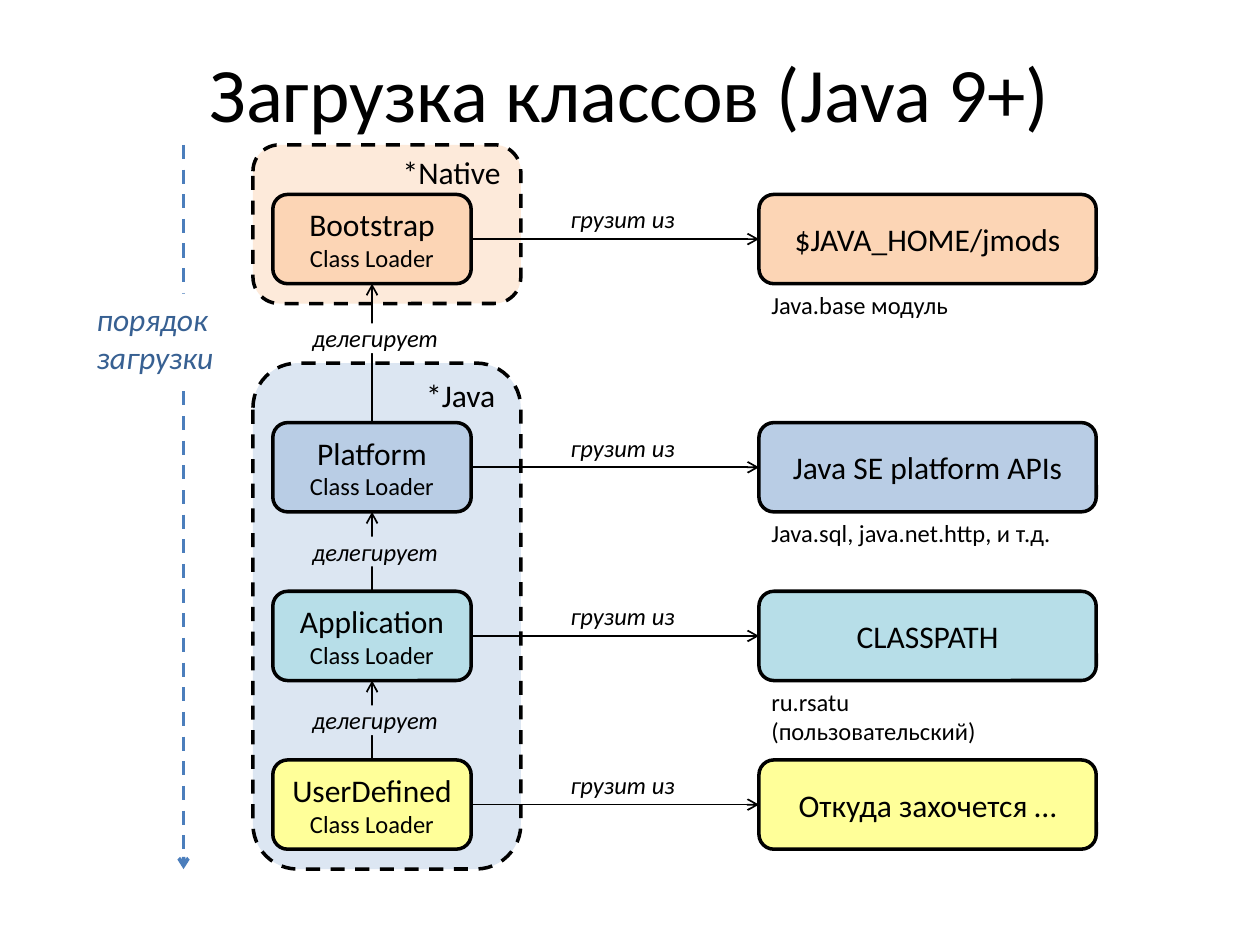
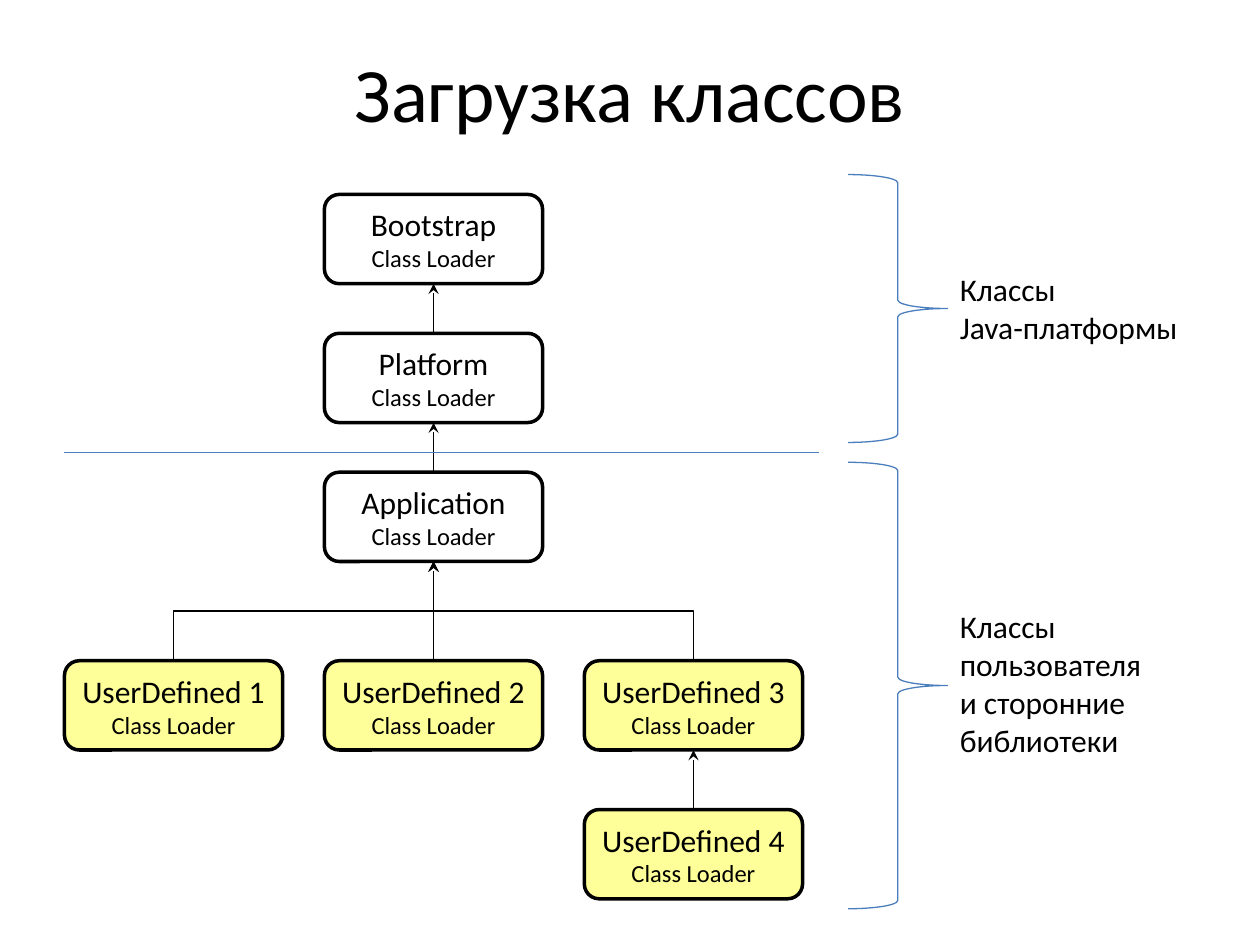
import dataclasses
import typing

import lxml.etree
import pptx
import pptx.dml.color
import pptx.enum.dml
import pptx.enum.shapes
import pptx.enum.text
import pptx.oxml.ns
import pptx.util

SHAPE = pptx.enum.shapes.MSO_SHAPE
CONNECTOR = pptx.enum.shapes.MSO_CONNECTOR
ALIGN = pptx.enum.text.PP_ALIGN
ANCHOR = pptx.enum.text.MSO_ANCHOR
GROW = pptx.enum.text.MSO_AUTO_SIZE.SHAPE_TO_FIT_TEXT
DASH = pptx.enum.dml.MSO_LINE.DASH
qn = pptx.oxml.ns.qn

# Grid: square cells counted from the top left corner of the diagrams
CELL = pptx.util.Mm(2)
GRID_LEFT = pptx.util.Mm(13)
GRID_TOP = pptx.util.Mm(29.2)
BOX_ROWS = 9

FONT = "Calibri"
BLACK, WHITE, BLUE, DARK_BLUE = "000000", "FFFFFF", "4B7EBC", "376092"
PEACH, PALE_PEACH = "FCD5B5", "FDEADA"
SKY, PALE_SKY = "B9CDE5", "DCE6F2"
AQUA, YELLOW = "B7DEE8", "FFFF99"

TOP, LEFT, BOTTOM, RIGHT = range(4)
TIGHT = {"margin_left": 0, "margin_top": 0, "margin_right": 0, "margin_bottom": 0}
GROWING = {"word_wrap": False, "auto_size": GROW}


class Area(typing.NamedTuple):
    col: float
    row: float
    cols: float
    rows: float


@dataclasses.dataclass
class Stroke:
    color: str = BLACK
    width: float = 1
    dashed: bool = False
    tail: str = ""


@dataclasses.dataclass
class Loader:
    name: str
    col: float
    row: float
    fill: str = WHITE
    source: str = ""
    note: str = ""


OUTLINE = Stroke(width=2)
DASHED_OUTLINE = Stroke(width=2, dashed=True)
THIN_BLUE = Stroke(BLUE, 0.75)
OPEN_ARROW = Stroke(tail="arrow")
STEALTH_ARROW = Stroke(tail="stealth")
ORDER_ARROW = Stroke(BLUE, 2, True, "arrow")


def rgb(color: str):
    return pptx.dml.color.RGBColor.from_string(color)


def col(n: float) -> int:
    return int(GRID_LEFT + n * CELL)


def row(n: float) -> int:
    return int(GRID_TOP + n * CELL)


def place(area: Area) -> tuple:
    return col(area.col), row(area.row), int(area.cols * CELL), int(area.rows * CELL)


def set_format(target, values: dict) -> None:
    for name, value in values.items():
        setattr(target, name, value)


def set_stroke(line, stroke: Stroke) -> None:
    line.color.rgb = rgb(stroke.color)
    line.width = pptx.util.Pt(stroke.width)
    if stroke.dashed:
        line.dash_style = DASH


def set_fill(sp, color: str) -> None:
    sp.fill.solid()
    sp.fill.fore_color.rgb = rgb(color)


def write(sp, lines: list, sizes: tuple = (18,), align=ALIGN.LEFT, color: str = BLACK,
          italic: bool = False, **frame) -> None:
    """One paragraph per line; the last size serves all lines that follow."""
    tf = sp.text_frame
    set_format(tf, frame)
    for i, text in enumerate(lines):
        p = tf.add_paragraph() if i else tf.paragraphs[0]
        p.alignment = align
        r = p.add_run()
        r.text = text
        size = pptx.util.Pt(sizes[min(i, len(sizes) - 1)])
        set_format(r.font, {"name": FONT, "size": size, "italic": italic})
        r.font.color.rgb = rgb(color)


def add_outline(s, kind, area: Area, stroke: Stroke, fill: str = ""):
    sp = s.shapes.add_shape(kind, *place(area))
    sp.shadow.inherit = False
    if fill:
        set_fill(sp, fill)
    else:
        sp.fill.background()
    set_stroke(sp.line, stroke)
    return sp


def add_box(s, area: Area, lines: list, fill: str):
    sp = add_outline(s, SHAPE.ROUNDED_RECTANGLE, area, OUTLINE, fill)
    write(sp, lines, (18, 14), ALIGN.CENTER, vertical_anchor=ANCHOR.MIDDLE)
    return sp


def add_loader(s, loader: Loader, cols: float):
    area = Area(loader.col, loader.row, cols, BOX_ROWS)
    return add_box(s, area, [loader.name, "Class Loader"], loader.fill)


def add_pane(s, area: Area, text: str, fill: str) -> None:
    sp = add_outline(s, SHAPE.ROUNDED_RECTANGLE, area, DASHED_OUTLINE, fill)
    write(sp, [text], align=ALIGN.RIGHT, vertical_anchor=ANCHOR.TOP, margin_top=0)


def add_label(s, area: Area, lines: list, fill: str = "", **style) -> None:
    sp = s.shapes.add_textbox(*place(area))
    if fill:
        set_fill(sp, fill)
    write(sp, lines, **style)


def add_line(s, stroke: Stroke, ends: tuple = (0, 0, 0, 0), kind=CONNECTOR.STRAIGHT):
    cxn = s.shapes.add_connector(kind, *ends)
    set_stroke(cxn.line, stroke)
    spPr = cxn._element.spPr
    lxml.etree.SubElement(spPr, qn("a:effectLst"))
    if stroke.tail:
        lxml.etree.SubElement(spPr.find(qn("a:ln")), qn("a:tailEnd"), type=stroke.tail)
    return cxn


def join(s, start, start_side: int, end, end_side: int, stroke: Stroke,
         kind=CONNECTOR.STRAIGHT):
    cxn = add_line(s, stroke, kind=kind)
    cxn.begin_connect(start, start_side)
    cxn.end_connect(end, end_side)
    return cxn


def join_elbow(s, lower, upper, stroke: Stroke) -> None:
    """Up, across and up again: an elbow turned by a quarter."""
    cxn = join(s, lower, TOP, upper, BOTTOM, stroke, CONNECTOR.ELBOW)
    x1, y1, x2, y2 = cxn.begin_x, cxn.begin_y, cxn.end_x, cxn.end_y
    rise, run = abs(y1 - y2), abs(x1 - x2)
    set_format(cxn, {"left": (x1 + x2 - rise) // 2, "top": (y1 + y2 - run) // 2,
                     "width": rise, "height": run})
    from_left = x1 < x2
    turn = {"rot": "5400000" if from_left else "16200000",
            "flipH": "1" if from_left else "0", "flipV": "1"}
    for name, value in turn.items():
        cxn._element.spPr.find(qn("a:xfrm")).set(name, value)


def add_titled_slide(prs, title: str):
    s = prs.slides.add_slide(prs.slide_layouts[5])
    w, h = prs.slide_width, prs.slide_height
    set_format(s.shapes.title, {"left": int(w * 0.05), "top": int(h * 0.04),
                                "width": int(w * 0.9), "height": GRID_TOP - int(h * 0.04)})
    write(s.shapes.title, [title], (44,), ALIGN.CENTER, vertical_anchor=ANCHOR.MIDDLE)
    return s


def build_delegation(prs) -> None:
    s = add_titled_slide(prs, "Загрузка классов (Java 9+)")
    add_pane(s, Area(19, 0, 27, 16), "*Native", PALE_PEACH)
    add_pane(s, Area(19, 22, 27, 51), "*Java", PALE_SKY)

    loaders = [
        Loader("Bootstrap", 21, 5, PEACH, "$JAVA_HOME/jmods", "Java.base модуль"),
        Loader("Platform", 21, 28, SKY, "Java SE platform APIs",
               "Java.sql, java.net.http, и т.д."),
        Loader("Application", 21, 45, AQUA, "CLASSPATH", "ru.rsatu (пользовательский)"),
        Loader("UserDefined", 21, 62, YELLOW, "Откуда захочется …"),
    ]
    link_style = {"sizes": (14,), "italic": True, **TIGHT, **GROWING}
    boxes = []
    for loader in loaders:
        box = add_loader(s, loader, 20)
        source = add_box(s, Area(70, loader.row, 34, BOX_ROWS), [loader.source], loader.fill)
        join(s, box, RIGHT, source, LEFT, OPEN_ARROW)
        add_label(s, Area(51, loader.row + 1, 10.7, 3), ["грузит из"], **link_style)
        if loader.note:
            add_label(s, Area(70, loader.row + BOX_ROWS, 31, 4.3), [loader.note],
                      sizes=(14,), **GROWING)
        boxes.append(box)

    for upper, lower in zip(boxes, boxes[1:]):
        join(s, lower, TOP, upper, BOTTOM, OPEN_ARROW)
    for label_row, fill in ((18, WHITE), (39.5, PALE_SKY), (56.5, PALE_SKY)):
        add_label(s, Area(25, label_row, 12.8, 3), ["делегирует"], fill, **link_style)

    add_line(s, ORDER_ARROW, (col(12), row(0), col(12), row(73)))
    add_label(s, Area(2, 15, 14.4, 9), ["порядок", "загрузки"], WHITE,
              color=DARK_BLUE, italic=True, **GROWING)


def build_hierarchy(prs) -> None:
    s = add_titled_slide(prs, "Загрузка классов")
    left, middle, right = (26.2 * i for i in range(3))
    loaders = [
        Loader("Bootstrap", middle, 5),
        Loader("Platform", middle, 19),
        Loader("Application", middle, 33),
        Loader("UserDefined 1", left, 52, YELLOW),
        Loader("UserDefined 2", middle, 52, YELLOW),
        Loader("UserDefined 3", right, 52, YELLOW),
        Loader("UserDefined 4", right, 67, YELLOW),
    ]
    boot, platform, app, user1, user2, user3, user4 = (
        add_loader(s, loader, 22) for loader in loaders)
    for lower, upper in ((platform, boot), (app, platform), (user2, app), (user4, user3)):
        join(s, lower, TOP, upper, BOTTOM, STEALTH_ARROW)
    for lower in (user1, user3):
        join_elbow(s, lower, app, STEALTH_ARROW)

    add_line(s, THIN_BLUE, (col(0), row(31), col(76), row(31)))
    groups = [
        (Area(79, 3, 10, 27), Area(89, 12, 27, 9), ["Классы", "Java-платформы"]),
        (Area(79, 32, 10, 45), Area(89, 46, 27, 16.7),
         ["Классы", "пользователя", "и сторонние библиотеки"]),
    ]
    for brace, label, lines in groups:
        add_outline(s, SHAPE.RIGHT_BRACE, brace, THIN_BLUE)
        add_label(s, label, lines, word_wrap=True, auto_size=GROW)


def main() -> None:
    prs = pptx.Presentation()
    prs.slide_width, prs.slide_height = pptx.util.Inches(10), pptx.util.Inches(7.5)
    build_delegation(prs)
    build_hierarchy(prs)
    prs.save("out.pptx")


if __name__ == "__main__":
    main()
